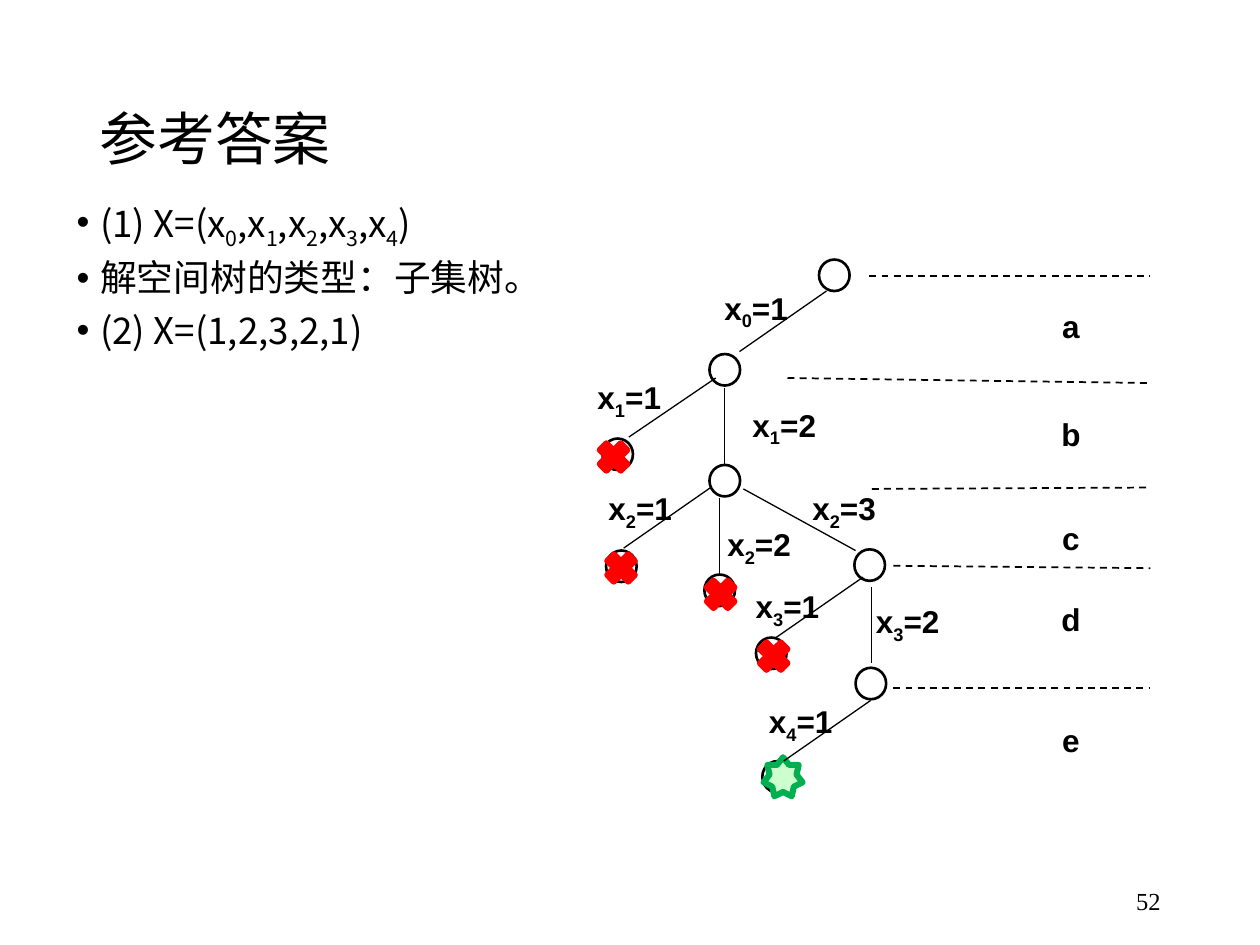
import pptx
import pptx.util
import pptx.dml.color
import pptx.enum.dml
import pptx.enum.shapes
import pptx.enum.text
import pptx.oxml.ns
import lxml.etree

Pt = pptx.util.Pt
RGB = pptx.dml.color.RGBColor.from_string
MSO_SHAPE = pptx.enum.shapes.MSO_SHAPE
ALIGN = pptx.enum.text.PP_ALIGN
ANCHOR = pptx.enum.text.MSO_ANCHOR
qn = pptx.oxml.ns.qn

COLORS = {"ink": "000000", "node": "FFFFFF", "pruned": "FF0000",
          "goal": "CCFFCC", "goal_edge": "00B050"}
CJK = "Noto Sans CJK SC"


def add_run(paragraph, text, size, font, bold=False, subscript=False):
    run = paragraph.add_run()
    run.text = text
    run.font.size = Pt(size)
    run.font.bold = bold
    run.font.color.rgb = RGB(COLORS["ink"])
    run.font.name = font
    lxml.etree.SubElement(run.font._element, qn("a:ea"), typeface=font)
    if subscript:
        run.font._element.set("baseline", "-25000")


def add_label(x, y, width, parts):
    frame = slide.shapes.add_textbox(Pt(x), Pt(y), Pt(width), Pt(21.6)).text_frame
    frame.word_wrap = True
    frame.margin_left = frame.margin_right = frame.margin_top = frame.margin_bottom = 0
    frame.paragraphs[0].alignment = ALIGN.CENTER
    for position, part in enumerate(parts):
        add_run(frame.paragraphs[0], part, 18, "Arial", True, position == 1)


deck = pptx.Presentation()
deck.slide_width, deck.slide_height = Pt(720), Pt(540)
slide = deck.slides.add_slide(deck.slide_layouts[5])

title = slide.shapes.title
title.left, title.top, title.width, title.height = Pt(49.7), Pt(28.8), Pt(620.6), Pt(104.4)
title.text_frame.vertical_anchor = ANCHOR.MIDDLE
heading = title.text_frame.paragraphs[0]
heading.alignment = ALIGN.LEFT
heading.line_spacing = 0.9
add_run(heading, "参考答案", 33, CJK)

answers = slide.shapes.add_textbox(Pt(36.7), Pt(111.6), Pt(684), Pt(101.5)).text_frame
answers.word_wrap = True
answer_lines = [
    ["(1) X=(x", "0", ",x", "1", ",x", "2", ",x", "3", ",x", "4", ")"],
    ["解空间树的类型：子集树。"],
    ["(2) X=(1,2,3,2,1)"],
]
for row, parts in enumerate(answer_lines):
    answer = answers.add_paragraph() if row else answers.paragraphs[0]
    properties = answer._p.get_or_add_pPr()
    properties.set("marL", str(Pt(13.5)))
    properties.set("indent", str(Pt(-13.5)))
    lxml.etree.SubElement(properties, qn("a:buFont"), typeface="Arial")
    lxml.etree.SubElement(properties, qn("a:buChar"), char="•")
    answer.line_spacing = 0.9
    answer.space_before = Pt(7.5 if row else 0)
    for position, part in enumerate(parts):
        add_run(answer, part, 21, CJK, subscript=position % 2 == 1)

page_number = slide.shapes.add_textbox(Pt(508.3), Pt(500.4), Pt(162), Pt(28.8)).text_frame
page_number.word_wrap = True
page_number.vertical_anchor = ANCHOR.MIDDLE
page_number.paragraphs[0].alignment = ALIGN.RIGHT
add_run(page_number.paragraphs[0], "52", 14, "Times New Roman")

nodes = [(468, 148.3), (405.4, 202.3), (344.2, 250.6), (405.4, 265.7), (346.3, 314.6),
         (402.5, 328.3), (488.2, 313.9), (432, 364.3), (488.9, 381.6), (435.6, 434.9)]
pruned = [(339.1, 249.8), (343.4, 313.2), (400.3, 328.3), (430.6, 363.6)]
goal = [(436.3, 432.7)]
branches = [
    (472.3, 166.3, 422.6, 200.9), (409, 216, 359.3, 249.8), (414, 221.8, 414, 265),
    (406.1, 278.6, 356.4, 313.2), (411.1, 284.4, 411.1, 328.3),
    (424.8, 279.4, 488.9, 314.6), (493.2, 329.8, 443.5, 364.3),
    (498.2, 335.5, 498.2, 378.7), (497.5, 400.3, 447.8, 434.9),
]
level_right = 657.4
level_lines = [(left, start, level_right, end) for left, start, end in [
    (496.8, 157.7, 157.7), (450, 216, 218.9), (498.2, 279.4, 278.6),
    (510.5, 323.3, 324.7), (510.5, 393.1, 393.1)]]

marks = [
    (nodes, MSO_SHAPE.OVAL, 17.5, 18, "node", "ink", 1.5),
    (pruned, MSO_SHAPE.MATH_MULTIPLY, 23, 22.7, "pruned", "pruned", 3.5),
    (goal, MSO_SHAPE.STAR_7_POINT, 22.3, 22.3, "goal", "goal_edge", 3.5),
]
for places, preset, width, height, fill, outline, weight in marks:
    for x, y in places:
        mark = slide.shapes.add_shape(preset, Pt(x), Pt(y), Pt(width), Pt(height))
        mark.shadow.inherit = False
        mark.fill.solid()
        mark.fill.fore_color.rgb = RGB(COLORS[fill])
        mark.line.color.rgb = RGB(COLORS[outline])
        mark.line.width = Pt(weight)

for paths, weight, dash in [(branches, 0.75, None),
                            (level_lines, 1, pptx.enum.dml.MSO_LINE.DASH)]:
    for ends in paths:
        edge = slide.shapes.add_connector(
            pptx.enum.shapes.MSO_CONNECTOR.STRAIGHT, *[Pt(value) for value in ends])
        edge.line.color.rgb = RGB(COLORS["ink"])
        edge.line.width = Pt(weight)
        edge.line.dash_style = dash
        lxml.etree.SubElement(edge._element.spPr, qn("a:effectLst"))

choices = [
    (409, 164.9, 46.1, "0", "=1"), (328.3, 216, 62.6, "1", "=1"),
    (416.9, 231.8, 62.6, "1", "=2"), (344.2, 279.4, 43.2, "2", "=1"),
    (411.8, 300.2, 43.9, "2", "=2"), (455, 279.4, 54.7, "2", "=3"),
    (424.8, 335.5, 50.4, "3", "=1"), (498.2, 344.2, 41, "3", "=2"),
    (435.6, 401, 43.9, "4", "=1"),
]
for x, y, width, index, value in choices:
    add_label(x, y, width, ["x", index, value])

for letter, y in zip("abcde", [175.7, 236.9, 296.6, 342.7, 411.8]):
    add_label(600.5, y, 23, [letter])

deck.save("out.pptx")
